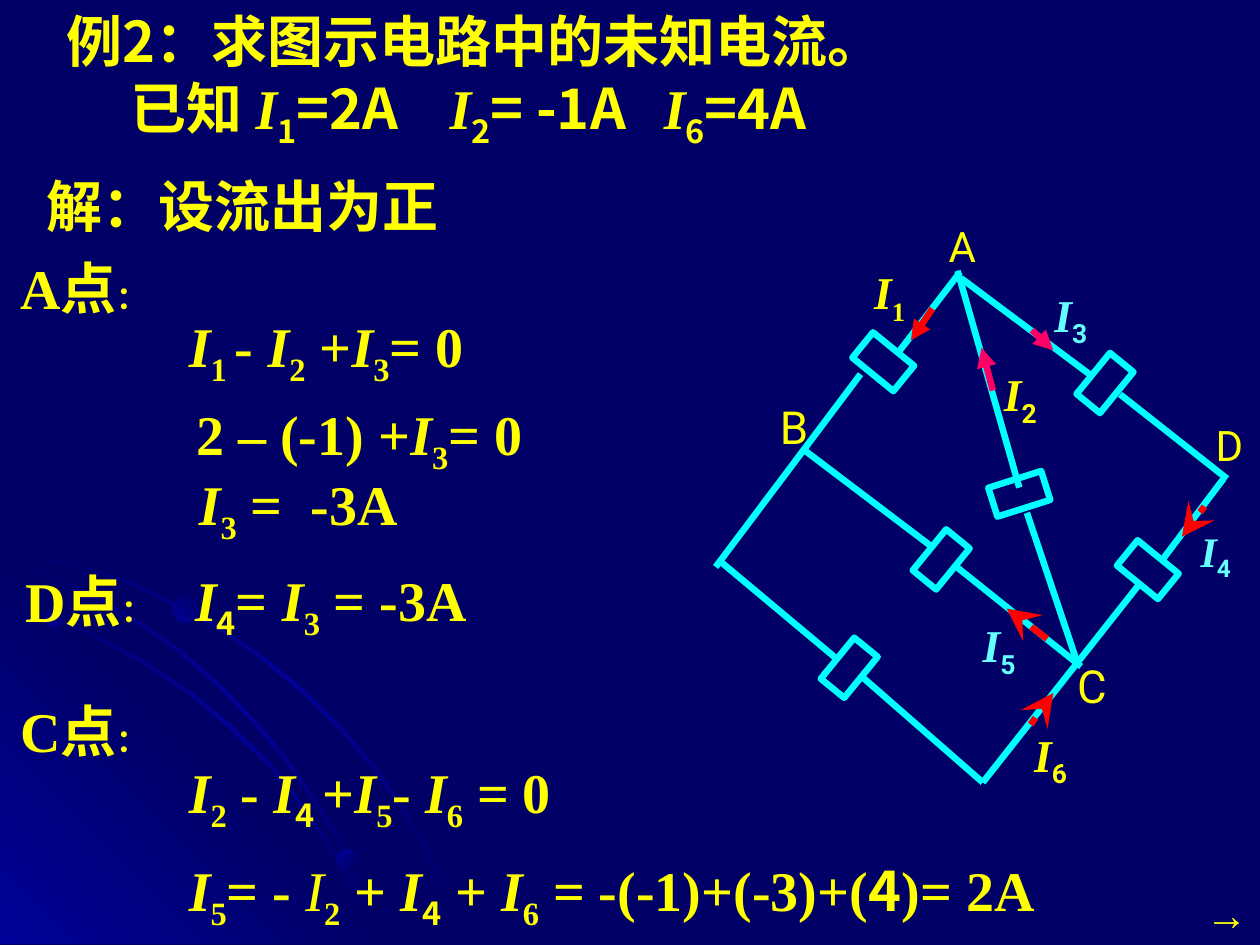
from copy import deepcopy
from dataclasses import dataclass
from itertools import groupby

from lxml.etree import SubElement
from pptx import Presentation
from pptx.dml.color import RGBColor
from pptx.enum.shapes import MSO_CONNECTOR, MSO_SHAPE
from pptx.enum.text import PP_ALIGN
from pptx.oxml.ns import qn
from pptx.util import Inches, Pt


@dataclass(frozen=True)
class Theme:
    dark: str = "000066"
    glow: str = "010199"
    yellow: str = "FFFF00"
    cyan: str = "66FFFF"
    wire: str = "00FFFF"
    red: str = "FF0000"
    pink: str = "FF0066"
    serif: str = "Times New Roman"
    sans: str = "Roboto"
    plain: str = "Arial"
    cjk: str = "Noto Sans CJK SC"
    body: int = 32
    label: int = 26
    small: int = 24
    colon: int = 18
    stroke: float = 3.75


T = Theme()


def rgb(value):
    return RGBColor.from_string(value)


# Text helpers
def add_box(shapes, x, y, w, h, wrap=True):
    tf = shapes.add_textbox(Inches(x), Inches(y), Inches(w), Inches(h)).text_frame
    tf.word_wrap = wrap
    return tf


def style(p, size, color, bold):
    p.font.size, p.font.bold = Pt(size), bold
    p.font.color.rgb = rgb(color)


def add_run(p, text, font):
    r = p.add_run()
    r.text = text
    r.font.name = font
    SubElement(r.font._element, qn("a:ea"), typeface=T.cjk)
    return r


def write(p, markup, size=T.body, color=T.yellow, base=T.serif, sub=None, four=None):
    """_x_ is a subscript, I an italic symbol, i the same symbol in regular weight."""
    style(p, size, color, True)
    for n, part in enumerate(markup.split("_")):
        font = (sub or base) if n % 2 else base
        for kind, chars in groupby(part, lambda c: c if c in "Ii4" else ""):
            text = "".join(chars)
            if kind in ("I", "i"):
                r = add_run(p, "I", T.serif)
                r.font.italic = True
                if kind == "i":
                    r.font.bold = False
            else:
                r = add_run(p, text, four if kind and four else font)
            if n % 2:
                r.font._element.set("baseline", "-25000")


# Line helper
def add_line(shapes, start, end, color, head=None, head_size="med"):
    c = shapes.add_connector(MSO_CONNECTOR.STRAIGHT, *map(Inches, start + end))
    c.line.color.rgb = rgb(color)
    c.line.width = Pt(T.stroke)
    if head:
        SubElement(c.line._get_or_add_ln(), qn("a:tailEnd"),
                   type=head, w=head_size, len=head_size)
    SubElement(c._element.spPr, qn("a:effectLst"))


# Background arcs
def fill_gradient(sp, colors, angle):
    sp.shadow.inherit = False
    sp.line.fill.background()
    sp.fill.gradient()
    sp.fill.gradient_angle = 360 - angle
    stops = sp._element.spPr.find(".//" + qn("a:gsLst"))
    while len(stops) < len(colors):
        stops.append(deepcopy(stops[-1]))
    for n, (stop, color) in enumerate(zip(sp.fill.gradient_stops, colors)):
        stop.position = n / (len(colors) - 1)
        stop.color.rgb = rgb(color)


def add_backdrop(slide, x, y, h):
    def outline(points, colors, angle):
        pts = [(Inches(x + px), Inches(y + py)) for px, py in points]
        fb = slide.shapes.build_freeform(*pts[0])
        fb.add_line_segments(pts[1:], close=True)
        fill_gradient(fb.convert_to_shape(), colors, angle)

    def arc(edge):
        inner = [(max(px - 0.02, 0), min(py + 0.02, h)) for px, py in reversed(edge)]
        outline(edge + inner, (T.dark, T.glow, T.dark), 45)

    arc([(0, 0.1), (0.28, 0.16), (0.57, 0.22), (0.98, 0.34), (1.36, 0.52),
         (1.74, 0.72), (2.09, 0.96), (2.42, 1.23), (2.72, 1.53), (3, 1.86),
         (3.25, 2.23), (3.39, 2.48), (3.52, 2.73), (3.62, 2.98), (3.72, 3.24)])
    outline([(3.22, 3.24), (0, 3.24), (0, 0.02)], (T.glow, T.dark, T.glow), 315)
    arc([(0, 0.5), (0.41, 0.63), (0.79, 0.8), (1.17, 1.01), (1.52, 1.24),
         (1.84, 1.51), (2.15, 1.81), (2.42, 2.15), (2.66, 2.51), (2.86, 2.87),
         (2.96, 3.05), (3.03, 3.24)])
    arc([(0, 0.17), (0.39, 0.3), (0.76, 0.48), (1.11, 0.68), (1.44, 0.91),
         (1.75, 1.18), (2.04, 1.48), (2.29, 1.78), (2.54, 2.14), (2.69, 2.4),
         (2.82, 2.68), (2.94, 2.95), (3.03, 3.24)])
    for px, py, d, angle in ((0.36, 0.58, 0.15, 315), (2.67, 2.49, 0.16, 45),
                             (1.37, 0.48, 0.21, 315)):
        sp = slide.shapes.add_shape(MSO_SHAPE.OVAL, Inches(x + px), Inches(y + py),
                                    Inches(d), Inches(d))
        fill_gradient(sp, (T.glow, T.dark), angle)


# Problem statement
def add_problem(slide, x, y, w, h):
    tf = add_box(slide.shapes, x, y, w, h)
    write(tf.paragraphs[0], "例2：求图示电路中的未知电流。", base=T.cjk)
    p = tf.add_paragraph()
    tabs = SubElement(p._p.get_or_add_pPr(), qn("a:tabLst"))
    for stop in (0.51, 3.04, 4.74):
        SubElement(tabs, qn("a:tab"), pos=str(Inches(stop)), algn="l")
    write(p, "\t已知 I_1_=2A\tI_2_= -1A\tI_6_=4A", base=T.cjk)


# Worked solution
def add_solution(slide, x, y):
    tf = add_box(slide.shapes, x + 0.27, y, 3.86, 0.64)
    write(tf.paragraphs[0], "解：设流出为正", base=T.sans)

    for node, dx, dy in (("A", 0, 0.65), ("D", 0.04, 3.14), ("C", 0, 4.17)):
        p = add_box(slide.shapes, x + dx, y + dy, 1.34, 0.64).paragraphs[0]
        p.alignment = PP_ALIGN.CENTER
        style(p, T.body, T.yellow, True)
        add_run(p, node, T.serif)
        add_run(p, "点", T.plain)
        add_run(p, "：", T.plain).font.size = Pt(T.colon)

    # Boxes are wider than their text, so every equation stays on one line
    for markup, dx, dy, w in (
            ("I_1 _- I_2_ +I_3_= 0", 1.4, 1.11, 3),
            ("2 – (-1) +I_3_= 0", 1.46, 1.81, 3.2),
            ("I_3_ =  -3A", 1.48, 2.37, 2.4),
            ("I_4_= I_3_ = -3A", 1.45, 3.13, 3),
            ("I_2_ - I_4 _+I_5_- I_6_ = 0", 1.4, 4.65, 3.6),
            ("I_5_= - i_2_ + I_4_ + I_6_ = -(-1)+(-3)+(4)= 2A", 1.4, 5.43, 7.6)):
        tf = add_box(slide.shapes, x + dx, y + dy, w, 0.71)
        write(tf.paragraphs[0], markup, four=T.cjk)


# Circuit diagram
def add_circuit(slide, x, y):
    shapes = slide.shapes.add_group_shape().shapes

    def at(px, py):
        return x + px, y + py

    for cx, cy, w, h, angle in (
            (1.24, 3.6, 0.42, 0.24, 309.2), (1.97, 2.74, 0.42, 0.24, 309.2),
            (3.27, 1.34, 0.42, 0.24, 309.2), (3.61, 2.82, 0.42, 0.26, 219.2),
            (1.51, 1.17, 0.42, 0.26, 219.2), (2.59, 2.22, 0.44, 0.24, 342.4)):
        left, top = at(cx - w / 2, cy - h / 2)
        sp = shapes.add_shape(MSO_SHAPE.RECTANGLE, *map(Inches, (left, top, w, h)))
        sp.rotation = angle
        sp.shadow.inherit = False
        sp.fill.background()
        sp.line.color.rgb = rgb(T.wire)
        sp.line.width = Pt(T.stroke)

    for x1, y1, x2, y2 in (
            (1.13, 3.52, 0.21, 2.75), (2.3, 4.51, 1.34, 3.67),
            (1.33, 1.27, 0.18, 2.8), (3.54, 2.94, 2.3, 4.51),
            (0.88, 1.87, 1.91, 2.65), (2.08, 2.79, 3.08, 3.59),
            (2.12, 0.46, 1.62, 1.11), (2.13, 0.51, 3.16, 1.28),
            (3.39, 1.43, 4.24, 2.1), (4.21, 2.1, 3.72, 2.75),
            (2.1, 0.45, 2.59, 2.17), (2.65, 2.37, 3.05, 3.56)):
        add_line(shapes, at(x1, y1), at(x2, y2), T.wire)

    for x1, y1, x2, y2, color, head, size in (
            (1.9, 0.75, 1.73, 1, T.red, "triangle", "med"),
            (2.69, 0.92, 2.86, 1.08, T.pink, "triangle", "med"),
            (2.38, 1.4, 2.29, 1.06, T.pink, "triangle", "med"),
            (2.81, 3.37, 2.49, 3.13, T.red, "stealth", "lg"),
            (4.06, 2.32, 3.88, 2.56, T.red, "stealth", "lg"),
            (2.68, 4.05, 2.86, 3.8, T.red, "stealth", "lg")):
        add_line(shapes, at(x1, y1), at(x2, y2), color, head, size)

    for node, px, py, size in (("A", 1.93, 0, T.small), ("B", 0.59, 1.42, T.label),
                               ("C", 2.95, 3.47, T.label), ("D", 4.05, 1.58, T.small)):
        p = add_box(shapes, *at(px, py), 0.45, 0.5).paragraphs[0]
        style(p, size, T.yellow, False)
        add_run(p, node, T.sans)

    for number, px, py, size, color, sub in (
            (1, 1.34, 0.35, T.label, T.yellow, T.serif),
            (2, 2.37, 1.16, T.label, T.yellow, T.sans),
            (3, 2.77, 0.53, T.label, T.cyan, T.sans),
            (4, 3.93, 2.42, T.small, T.cyan, T.sans),
            (5, 2.2, 3.15, T.label, T.cyan, T.sans),
            (6, 2.61, 4.02, T.label, T.yellow, T.sans)):
        p = add_box(shapes, *at(px, py), 0.57, 0.6).paragraphs[0]
        write(p, f"I_{number}_", size, color, sub=sub)


# Next-page arrow
def add_next_mark(slide, x, y):
    p = add_box(slide.shapes, x, y, 0.53, 0.5, wrap=False).paragraphs[0]
    style(p, T.small, T.yellow, False)
    add_run(p, "→", T.plain)


def main():
    prs = Presentation()
    prs.slide_width, prs.slide_height = Inches(10), Inches(7.5)
    s = prs.slides.add_slide(prs.slide_layouts[6])
    s.background.fill.solid()
    s.background.fill.fore_color.rgb = rgb(T.dark)
    add_backdrop(s, 0, 4.25, 3.25)
    add_problem(s, 0.43, 0, 8.66, 1.24)
    add_next_mark(s, 9.47, 7)
    add_circuit(s, 5.5, 1.7)
    add_solution(s, 0, 1.31)
    prs.save("out.pptx")


if __name__ == "__main__":
    main()
